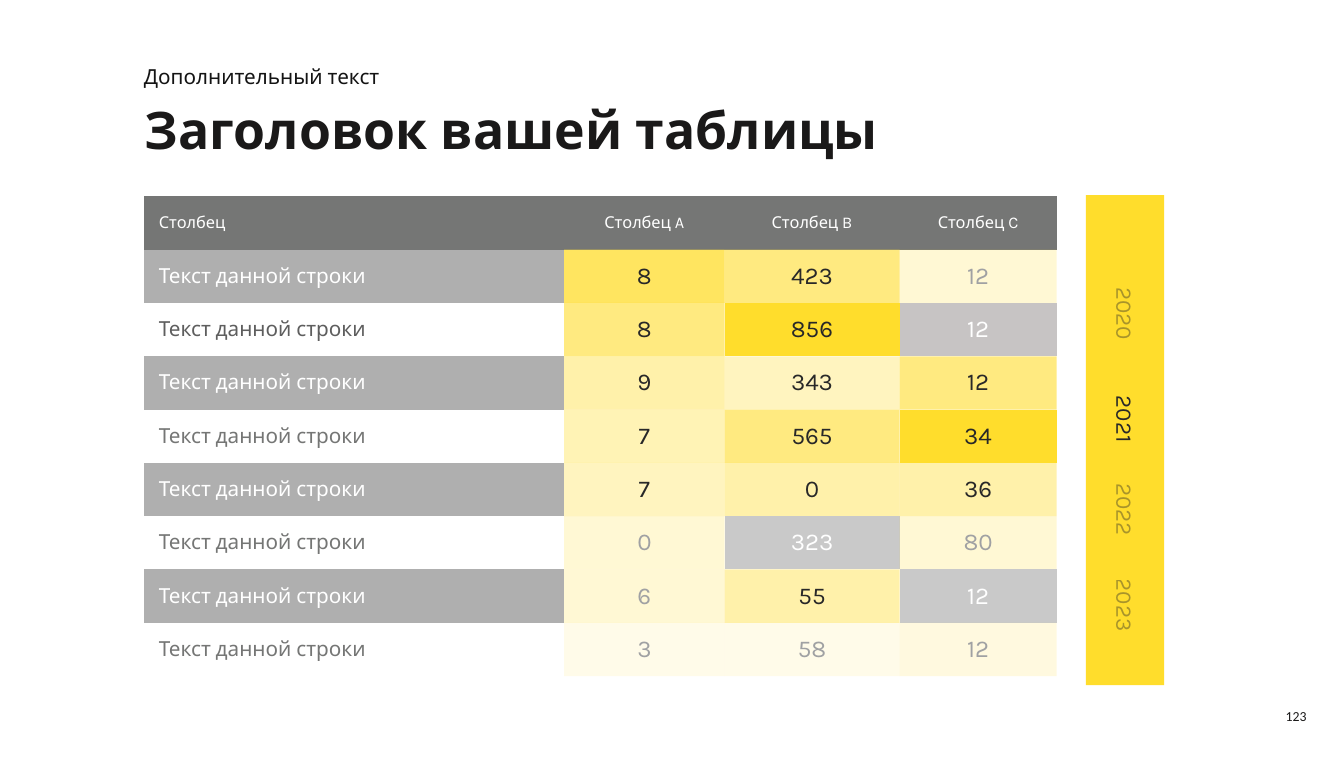
"""Build a slide with a heat-mapped table and a vertical strip of years."""
from dataclasses import dataclass

from lxml import etree
from pptx import Presentation
from pptx.dml.color import RGBColor
from pptx.enum import shapes, text
from pptx.oxml import ns
from pptx.util import Cm, Pt


@dataclass(frozen=True)
class Theme:
    """Colours, fonts and type sizes of the slide."""
    yellow: str = "FFDD2C"
    white: str = "FFFFFF"
    header: str = "757675"
    band: str = "AFAFAF"
    warm_grey: str = "C7C4C4"
    grey: str = "C9C9C9"
    ink: str = "282828"
    title_ink: str = "1A1919"
    kicker_ink: str = "141414"
    muted: str = "A0A1A3"
    label_dark: str = "5E5E5E"
    font: str = "Karla"
    number_font: str = "Calibri"
    title_size: int = 60
    value_size: int = 28
    year_size: int = 26
    body_size: int = 24
    header_size: int = 19
    number_size: int = 16


THEME = Theme()
NO_STYLE = "{2D5ABB26-0587-4C30-8999-92F81FD0307C}"
HEADINGS = ["Столбец", "Столбец A", "Столбец B", "Столбец C"]
COLUMN_WIDTHS = [17.2, 6.56, 7.16, 6.43]
ROW_HEIGHT = 2.18
ROW_LABEL = "Текст данной строки"
HEAT_ROWS = [
    [(8, 75), (423, 60), (12, 20)],
    [(8, 60), (856, 100), (12, THEME.warm_grey)],
    [(9, 40), (343, 30), (12, 60)],
    [(7, 35), (565, 60), (34, 100)],
    [(7, 30), (0, 40), (36, 40)],
    [(0, 20), (323, THEME.grey), (80, 20)],
    [(6, 20), (55, 40), (12, THEME.grey)],
    [(3, 10), (58, 10), (12, 15)],
]
YEAR_TOPS = {"2020": 12.15, "2021": 16.46, "2022": 20.15, "2023": 24.06}
CURRENT_YEAR = "2021"


def set_opacity(element, percent):
    """Give every colour inside the element the stated opacity."""
    for colour in element.iter(ns.qn("a:srgbClr")):
        etree.SubElement(colour, ns.qn("a:alpha")).set("val", str(percent * 1000))


def write(frame, words, size, colour, align=text.PP_ALIGN.LEFT, bold=False,
          font=THEME.font):
    """Write one styled paragraph and return it."""
    paragraph = frame.paragraphs[0]
    paragraph.text = words
    paragraph.alignment = align
    paragraph.font.size = Pt(size)
    paragraph.font.name = font
    paragraph.font.bold = bold
    paragraph.font.color.rgb = RGBColor.from_string(colour)
    return paragraph


def add_text(parent, box, words, size, colour, **style):
    """Add a wrapping text box and return it with its paragraph."""
    label = parent.add_textbox(*map(Cm, box))
    label.text_frame.word_wrap = True
    return label, write(label.text_frame, words, size, colour, **style)


def fill_cell(cell, words, size, colour, fill=None, opacity=100, centred=True):
    """Set the text, insets and background of a table cell."""
    cell.vertical_anchor = text.MSO_ANCHOR.MIDDLE
    cell.margin_left = Cm(0.4 if centred else 0.61)
    cell.margin_right = Cm(0.4)
    cell.margin_top = cell.margin_bottom = Cm(0.2)
    align = text.PP_ALIGN.CENTER if centred else text.PP_ALIGN.LEFT
    if fill is None:
        cell.fill.background()
    else:
        cell.fill.solid()
        cell.fill.fore_color.rgb = RGBColor.from_string(fill)
        if opacity < 100:
            set_opacity(cell._tc, opacity)
    write(cell.text_frame, words, size, colour, align)


def fill_value(cell, value, tint):
    """Show a value on a plain grey or on yellow of the given strength."""
    if isinstance(tint, str):
        fill_cell(cell, str(value), THEME.value_size, THEME.white, tint)
    else:
        colour = THEME.muted if tint <= 20 else THEME.ink
        fill_cell(cell, str(value), THEME.value_size, colour, THEME.yellow, tint)


def fill_label(cell, row):
    """Label a data row, with a grey band on every odd row."""
    if row % 2:
        colour, fill = THEME.white, THEME.band
    else:
        colour, fill = THEME.label_dark if row == 2 else THEME.header, None
    fill_cell(cell, ROW_LABEL, THEME.body_size, colour, fill, centred=False)


def add_heat_table(slide):
    """Add the table of values."""
    rows = len(HEAT_ROWS) + 1
    frame = slide.shapes.add_table(
        rows, len(HEADINGS), Cm(5.89), Cm(8.03),
        Cm(sum(COLUMN_WIDTHS)), Cm(ROW_HEIGHT * rows))
    table = frame.table
    table.first_row = table.horz_banding = False
    for style in frame.element.iter(ns.qn("a:tableStyleId")):
        style.text = NO_STYLE
    for column, width in zip(table.columns, COLUMN_WIDTHS):
        column.width = Cm(width)
    for index, heading in enumerate(HEADINGS):
        fill_cell(table.cell(0, index), heading, THEME.header_size, THEME.white,
                  THEME.header, centred=index > 0)
    for row, values in enumerate(HEAT_ROWS, 1):
        fill_label(table.cell(row, 0), row)
        for column, (value, tint) in enumerate(values, 1):
            fill_value(table.cell(row, column), value, tint)


def add_year_strip(slide):
    """Add the yellow strip with turned years, the current one in full ink."""
    strip = slide.shapes.add_group_shape().shapes
    bar = strip.add_shape(shapes.MSO_SHAPE.RECTANGLE,
                          Cm(44.44), Cm(7.98), Cm(3.2), Cm(20.04))
    bar.shadow.inherit = False
    bar.fill.solid()
    bar.fill.fore_color.rgb = RGBColor.from_string(THEME.yellow)
    bar.line.fill.background()
    for year, top in YEAR_TOPS.items():
        label, paragraph = add_text(
            strip, (44.07, top, 3.94, 1.37), year, THEME.year_size, THEME.ink,
            align=text.PP_ALIGN.CENTER)
        label.rotation = 90
        if year != CURRENT_YEAR:
            set_opacity(paragraph._p, 40)


def add_headings(slide):
    """Add the kicker and the title above the table."""
    kicker, _ = add_text(slide.shapes, (5.89, 2.49, 18.14, 1.32),
                         "Дополнительный текст", THEME.body_size, THEME.kicker_ink)
    kicker.text_frame.margin_left = 0
    title, _ = add_text(slide.shapes, (5.89, 4.01, 39.98, 2.57),
                        "Заголовок вашей таблицы", THEME.title_size,
                        THEME.title_ink, bold=True)
    frame = title.text_frame
    frame.margin_left = Cm(0.04)
    frame.margin_top = frame.margin_right = frame.margin_bottom = 0


def add_page_number(slide):
    """Add the page number at the bottom right."""
    number, _ = add_text(slide.shapes, (50.75, 28.68, 2.97, 1.19), "123",
                         THEME.number_size, THEME.title_ink,
                         align=text.PP_ALIGN.RIGHT, font=THEME.number_font)
    number.text_frame.vertical_anchor = text.MSO_ANCHOR.MIDDLE


def main():
    """Build and save the slide."""
    deck = Presentation()
    deck.slide_width, deck.slide_height = Cm(55), Cm(31)
    slide = deck.slides.add_slide(deck.slide_layouts[6])
    add_heat_table(slide)
    add_headings(slide)
    add_year_strip(slide)
    add_page_number(slide)
    deck.save("out.pptx")


if __name__ == "__main__":
    main()
